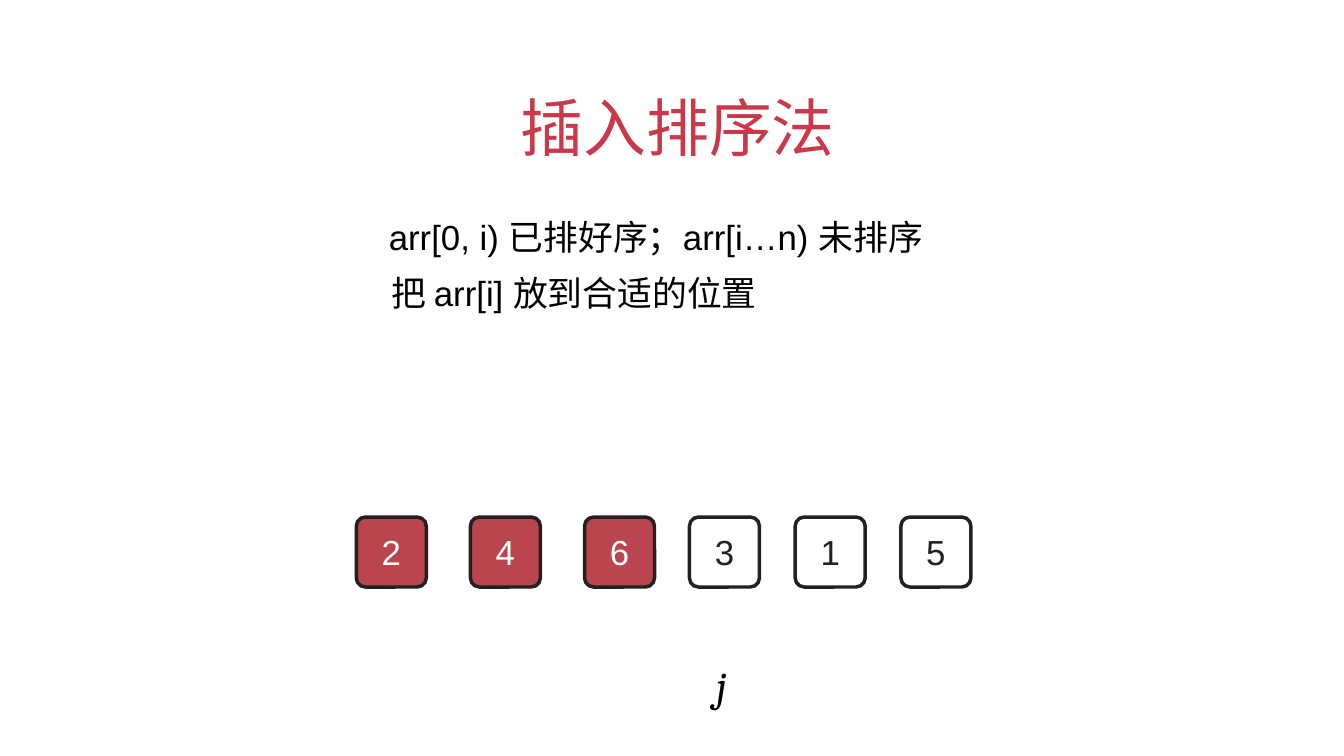
import lxml.etree
import pptx
import pptx.dml.color
import pptx.enum.shapes
import pptx.enum.text
import pptx.oxml.ns
import pptx.util

WIDTH, HEIGHT = pptx.util.Inches(21.99), pptx.util.Inches(12.37)
THEME = {
    "title": {"size": 74, "color": "C9394A", "font": "Noto Sans CJK TC"},
    "latin": {"size": 41, "color": "000000", "font": "Arial"},
    "chinese": {"size": 41, "color": "000000", "font": "Noto Sans CJK TC"},
    "sorted": {"size": 41, "color": "FFFFFF", "font": "Arial"},
    "unsorted": {"size": 41, "color": "212121", "font": "Arial"},
    "index": {"size": 50, "color": "000000", "font": "Cambria", "italic": True},
    "tile_fill": "BA454E",
    "tile_line": "212121",
    "tile_line_width": 4.12,
}
ALIGN = pptx.enum.text.PP_ALIGN
ANCHOR = pptx.enum.text.MSO_ANCHOR
FRAME_FORMAT = {
    "margin_left": 0, "margin_right": 0, "margin_bottom": 0,
    "margin_top": pptx.util.Inches(0.02),
    "vertical_anchor": ANCHOR.TOP, "word_wrap": True,
    "auto_size": pptx.enum.text.MSO_AUTO_SIZE.NONE,
}


def rgb(color):
    return pptx.dml.color.RGBColor.from_string(color)


def share(left, top, width, height):
    """Turn percentages of the slide's size into a box in EMU."""
    return tuple(round(part * whole / 100) for part, whole in
                 zip((left, top, width, height), (WIDTH, HEIGHT) * 2))


def apply(target, values):
    for name, value in values.items():
        setattr(target, name, value)


def place(shape, box):
    apply(shape, dict(zip(("left", "top", "width", "height"), box)))


def write(frame, runs, align=ALIGN.LEFT, margin=0, indent=0, **frame_format):
    """Fill the frame with one paragraph of (text, theme style) runs."""
    apply(frame, FRAME_FORMAT | frame_format)
    paragraph = frame.paragraphs[0]
    apply(paragraph, {"alignment": align, "space_before": pptx.util.Pt(0)})
    properties = paragraph._p.get_or_add_pPr()
    properties.set("marL", str(pptx.util.Inches(margin)))
    properties.set("indent", str(pptx.util.Inches(indent)))
    lxml.etree.SubElement(properties, pptx.oxml.ns.qn("a:buNone"))
    for text, style_name in runs:
        style = THEME[style_name]
        run = paragraph.add_run()
        run.text = text
        apply(run.font, {"size": pptx.util.Pt(style["size"]), "name": style["font"],
                         "italic": style.get("italic", False)})
        run.font.color.rgb = rgb(style["color"])
        east_asian = lxml.etree.SubElement(run._r.get_or_add_rPr(), pptx.oxml.ns.qn("a:ea"))
        east_asian.set("typeface", THEME["chinese"]["font"])
    return paragraph


def add_heading(slide, box):
    place(slide.shapes.title, box)
    write(slide.shapes.title.text_frame, [("插⼊排序法", "title")], margin=0.22)


def add_invariant(slide, box):
    """State what holds before each step of the sort."""
    invariant = slide.placeholders[1]
    place(invariant, box)
    paragraph = write(invariant.text_frame, [
        ("arr[0, i) ", "latin"), ("已排好序；", "chinese"),
        ("arr[i…n) ", "latin"), ("未排序 把 ", "chinese"),
        ("arr[i] ", "latin"), ("放到合适的位置", "chinese"),
    ], margin=0.05, indent=-0.04)
    paragraph.line_spacing = 1.36


def add_tile(slide, box, number, state):
    tile = slide.shapes.add_shape(
        pptx.enum.shapes.MSO_SHAPE.ROUNDED_RECTANGLE, *box)
    tile.adjustments[0] = 0.13
    tile.shadow.inherit = False
    if state == "sorted":
        tile.fill.solid()
        tile.fill.fore_color.rgb = rgb(THEME["tile_fill"])
    else:
        tile.fill.background()
    tile.line.color.rgb = rgb(THEME["tile_line"])
    tile.line.width = pptx.util.Pt(THEME["tile_line_width"])
    write(tile.text_frame, [(str(number), state)], ALIGN.CENTER,
          vertical_anchor=ANCHOR.MIDDLE, margin_top=0)


def add_array(slide, box, sorted_numbers, unsorted_numbers):
    """Set sorted tiles from the left edge and unsorted ones up to the right edge."""
    left, top, width, side = box
    sorted_pitch, unsorted_pitch = 1.63 * side, 1.51 * side
    unsorted_left = left + width - side - (len(unsorted_numbers) - 1) * unsorted_pitch
    for state, numbers, start, pitch in (
            ("sorted", sorted_numbers, left, sorted_pitch),
            ("unsorted", unsorted_numbers, unsorted_left, unsorted_pitch)):
        for column, number in enumerate(numbers):
            add_tile(slide, (round(start + column * pitch), top, side, side), number, state)


def add_index(slide, box):
    index = slide.shapes.add_textbox(*box)
    write(index.text_frame, [("j", "index")], word_wrap=False)


def main():
    presentation = pptx.Presentation()
    apply(presentation, {"slide_width": WIDTH, "slide_height": HEIGHT})
    slide = presentation.slides.add_slide(presentation.slide_layouts[1])
    add_heading(slide, share(37.74, 11.56, 24.51, 10.19))
    add_invariant(slide, share(28.88, 26.35, 40.06, 15.28))
    add_array(slide, share(26.51, 68.39, 45.73, 9.26), [2, 4, 6], [3, 1, 5])
    add_index(slide, share(53.3, 87.07, 1, 7.03))
    presentation.save("out.pptx")


if __name__ == "__main__":
    main()
